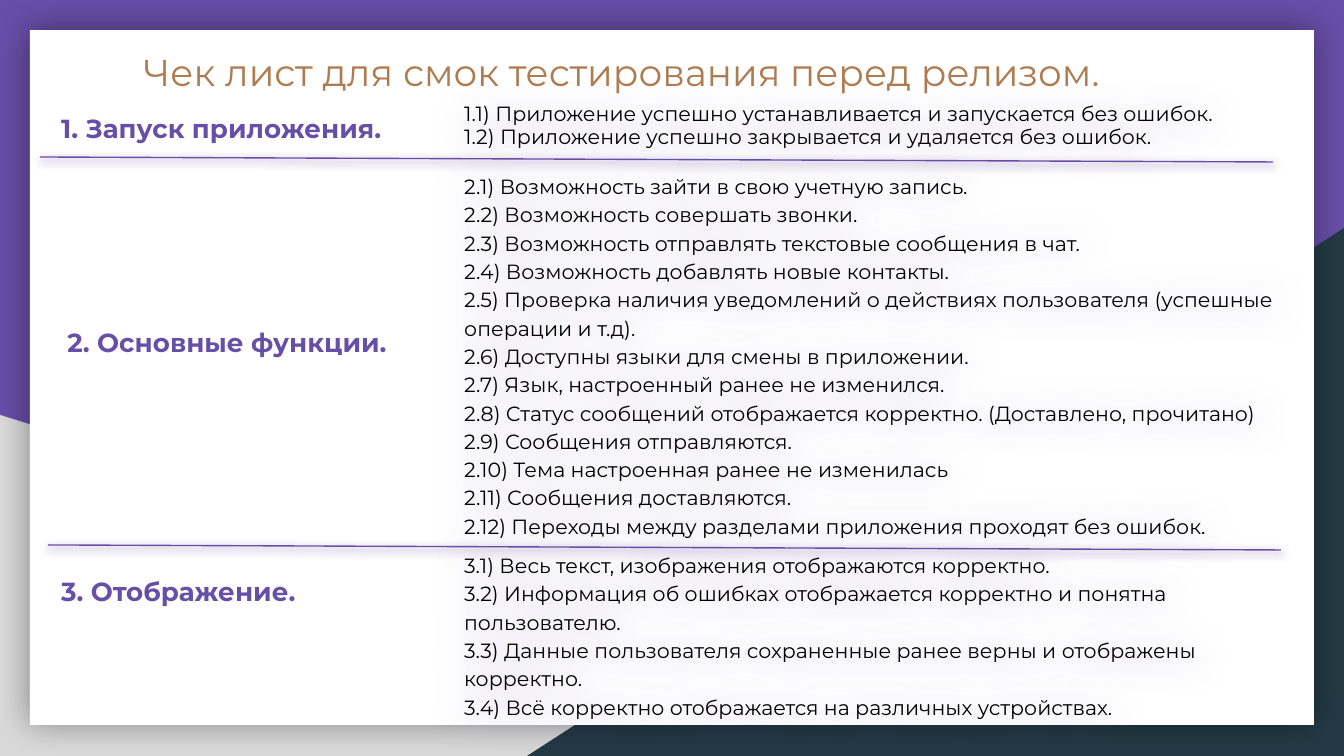
"""Build a slide with a smoke test checklist."""
import dataclasses

import lxml.etree
import pptx
import pptx.dml.color
import pptx.enum.shapes
import pptx.enum.text
import pptx.oxml.ns
import pptx.util

SCALE = 914400 / 134.4
SHAPE = pptx.enum.shapes.MSO_SHAPE
ANCHOR = pptx.enum.text.MSO_ANCHOR


@dataclasses.dataclass(frozen=True)
class Theme:
    """Hold the font, colours and type sizes."""
    font: str = "Montserrat"
    main: str = "674EA7"
    gold: str = "AF7B51"
    dark: str = "233A44"
    grey: str = "D9D9D9"
    white: str = "FFFFFF"
    black: str = "000000"
    title: int = 20
    head: int = 14
    item: int = 11


def px(count):
    """Turn pixels into EMU."""
    return round(count * SCALE)


def rgb(code):
    """Turn a hex code into a colour."""
    return pptx.dml.color.RGBColor.from_string(code)


def node(parent, tag, **attrs):
    """Add a drawing element below a parent."""
    values = {key: str(value) for key, value in attrs.items()}
    return lxml.etree.SubElement(parent, pptx.oxml.ns.qn(tag), values)


class Slide:
    """Draw styled elements on one slide."""

    def __init__(self, deck, theme):
        """Add a blank slide with a coloured ground."""
        self.theme = theme
        self.page = deck.slides.add_slide(deck.slide_layouts[6])
        fill = self.page.background.fill
        fill.solid()
        fill.fore_color.rgb = rgb(theme.main)

    def shade(self, item, color, alpha, blur, drop):
        """Give an element a soft outer shadow."""
        effects = node(item.element.spPr, "a:effectLst")
        outer = node(effects, "a:outerShdw", blurRad=pptx.util.Pt(blur),
                     dist=pptx.util.Pt(drop), dir=5400000,
                     algn="ctr", rotWithShape=0)
        tint = node(outer, "a:srgbClr", val=color)
        node(tint, "a:alpha", val=alpha * 1000)

    def shape(self, kind, box, color, flip=False, shadow=False):
        """Add a filled shape without an outline."""
        item = self.page.shapes.add_shape(kind, *map(px, box))
        item.fill.solid()
        item.fill.fore_color.rgb = rgb(color)
        item.line.fill.background()
        if flip:
            item.element.spPr.find(pptx.oxml.ns.qn("a:xfrm")).set("flipH", "1")
        if shadow:
            self.shade(item, self.theme.black, 40, 18, 0)
        else:
            item.shadow.inherit = False

    def text(self, box, lines, size, color, bold=False, gap=1.0,
             anchor=ANCHOR.TOP, shadow=False):
        """Add a text box with one paragraph per line."""
        item = self.page.shapes.add_textbox(*map(px, box))
        frame = item.text_frame
        frame.word_wrap = True
        frame.vertical_anchor = anchor
        frame.margin_left = frame.margin_right = pptx.util.Inches(0.1)
        frame.margin_top = frame.margin_bottom = pptx.util.Inches(0.1)
        for index, line in enumerate(lines):
            para = frame.add_paragraph() if index else frame.paragraphs[0]
            para.line_spacing = gap
            run = para.add_run()
            run.text = line
            run.font.name = self.theme.font
            run.font.size = pptx.util.Pt(size)
            run.font.bold = bold
            run.font.color.rgb = rgb(color)
        if shadow:
            self.shade(item, self.theme.main, 50, 18, 1.5)

    def head(self, box, line, anchor=ANCHOR.TOP):
        """Add a bold section heading."""
        self.text(box, [line], self.theme.head, self.theme.main,
                  bold=True, anchor=anchor)

    def checks(self, box, part, lines, gap=1.15):
        """Add the numbered checks of one section."""
        lines = [f"{part}.{rank}) {line}" for rank, line in enumerate(lines, 1)]
        self.text(box, lines, self.theme.item, self.theme.black,
                  gap=gap, shadow=True)

    def rule(self, start, end):
        """Add a thin dividing line with a shadow."""
        kind = pptx.enum.shapes.MSO_CONNECTOR.STRAIGHT
        item = self.page.shapes.add_connector(kind, *map(px, start + end))
        item.line.color.rgb = rgb(self.theme.main)
        item.line.width = pptx.util.Pt(0.75)
        self.shade(item, self.theme.main, 98, 4.5, 1.5)


LAUNCH = [
    "Приложение успешно устанавливается и запускается без ошибок.",
    "Приложение успешно закрывается и удаляется без ошибок.",
]
BASICS = [
    "Возможность зайти в свою учетную запись.",
    "Возможность совершать звонки.",
    "Возможность отправлять текстовые сообщения в чат.",
    "Возможность добавлять новые контакты.",
    "Проверка наличия уведомлений о действиях пользователя "
    "(успешные операции и т.д).",
    "Доступны языки для смены в приложении.",
    "Язык, настроенный ранее не изменился.",
    "Статус сообщений отображается корректно. (Доставлено, прочитано)",
    "Сообщения отправляются.",
    "Тема настроенная ранее не изменилась",
    "Сообщения доставляются.",
    "Переходы между разделами приложения проходят без ошибок.",
]
DISPLAY = [
    "Весь текст, изображения отображаются корректно.",
    "Информация об ошибках отображается корректно и понятна пользователю.",
    "Данные пользователя сохраненные ранее верны и отображены корректно.",
    "Всё корректно отображается на различных устройствах.",
]


def main():
    """Build and save the deck."""
    deck = pptx.Presentation()
    deck.slide_width, deck.slide_height = px(1344), px(756)
    theme = Theme()
    slide = Slide(deck, theme)

    slide.shape(SHAPE.RIGHT_TRIANGLE, (0, 415, 1083, 341), theme.grey)
    slide.shape(SHAPE.RIGHT_TRIANGLE, (527, 228, 817, 528), theme.dark, flip=True)
    slide.shape(SHAPE.RECTANGLE, (30, 30, 1284, 695), theme.white, shadow=True)

    slide.text((130, 36, 1130, 60),
               ["Чек лист для смок тестирования перед релизом."],
               theme.title, theme.gold)
    slide.head((48, 97, 466, 60), "1. Запуск приложения.", ANCHOR.BOTTOM)
    slide.checks((451, 89, 845, 75), 1, LAUNCH, gap=0.95)
    slide.head((54, 313, 370, 97), "2. Основные функции.")
    slide.checks((451, 157, 893, 348), 2, BASICS)
    slide.head((48, 562, 319, 60), "3. Отображение.")
    slide.checks((451, 536, 843, 106), 3, DISPLAY)
    slide.rule((48, 545), (1281, 550))
    slide.rule((40, 157), (1273, 162))

    deck.save("out.pptx")


if __name__ == "__main__":
    main()
